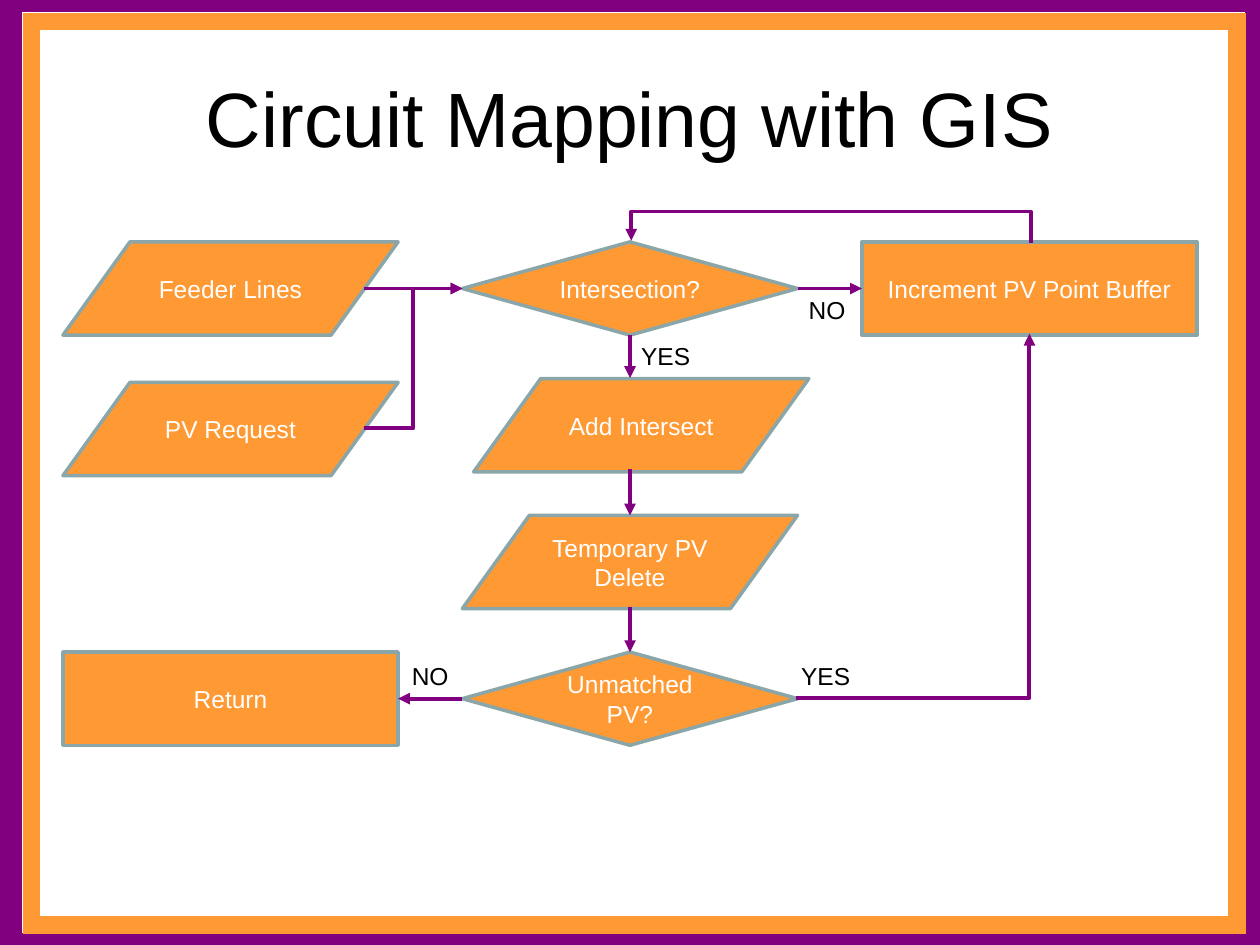
from lxml.etree import SubElement
from pptx import Presentation
from pptx.dml.color import RGBColor
from pptx.enum.shapes import MSO_CONNECTOR, MSO_SHAPE
from pptx.enum.text import MSO_ANCHOR, PP_ALIGN
from pptx.oxml.ns import qn
from pptx.util import Inches, Pt

PURPLE = RGBColor(0x80, 0x00, 0x80)
ORANGE = RGBColor(0xFF, 0x99, 0x33)
GRAY = RGBColor(0x8A, 0xA6, 0xA8)
WHITE = RGBColor(0xFF, 0xFF, 0xFF)
BLACK = RGBColor(0x00, 0x00, 0x00)

DATA = MSO_SHAPE.FLOWCHART_DATA
DECISION = MSO_SHAPE.FLOWCHART_DECISION
PROCESS = MSO_SHAPE.FLOWCHART_PROCESS
TOP, LEFT, BOTTOM, RIGHT = range(4)

STEP_W, STEP_H = 2.66, 0.74
COLUMNS = [0.5, 3.67, 6.84]
ROW_TOP, ROW_GAP = 1.92, 1.085

TITLE = "Circuit Mapping with GIS"
FRAMES = [
    ((0.08, 0, 9.9, 7.5), PURPLE, 14),
    ((0.25, 0.17, 9.57, 7.17), ORANGE, 10),
]
STEPS = [
    ("Feeder Lines", DATA, 0, 0, 0, 0),
    ("PV Request", DATA, 0, 1, 0, 0.03),
    ("Intersection?", DECISION, 1, 0, 0, 0),
    ("Return", PROCESS, 0, 3, 0, 0),
    ("Add Intersect", DATA, 1, 1, 0.09, 0),
    ("Temporary PV Delete", DATA, 1, 2, 0, 0),
    ("Unmatched PV?", DECISION, 1, 3, 0, 0),
    ("Increment PV Point Buffer", PROCESS, 2, 0, 0, 0),
]
STRAIGHT_ARROWS = [
    ((5, 2.66), (5, 3), ("Intersection?", BOTTOM), None),
    ((5, 3.72), (5, 4.09), None, None),
    ((5, 4.82), (5, 5.17), None, ("Unmatched PV?", TOP)),
    ((6.33, 2.29), (6.84, 2.29), ("Intersection?", RIGHT),
     ("Increment PV Point Buffer", LEFT)),
    ((2.89, 2.29), (3.67, 2.29), None, ("Intersection?", LEFT)),
    ((3.67, 5.54), (3.16, 5.54), ("Unmatched PV?", LEFT), ("Return", RIGHT)),
]
REQUEST_ARROW = ((2.89, 3.4), (3.67, 2.29))
RETRY_ARROW = ((6.32, 5.54), (8.17, 2.65))
LOOP_RIGHT, LOOP_LEFT, LOOP_Y = 8.18, 5.01, 1.92
LOOP_DEPTH, LOOP_RISE = 0.02, 0.25
ANSWERS = [
    ("YES", 4.99, 2.66),
    ("NO", 6.32, 2.29),
    ("NO", 3.17, 5.2),
    ("YES", 6.26, 5.2),
]


def write(frame, text, size, color, align):
    frame.word_wrap = True
    paragraph = frame.paragraphs[0]
    paragraph.text = text
    paragraph.alignment = align
    paragraph.font.name = "Arial"
    paragraph.font.size = Pt(size)
    paragraph.font.color.rgb = color


def add_label(slide, text, box, size, align, anchor):
    frame = slide.shapes.add_textbox(*map(Inches, box)).text_frame
    frame.vertical_anchor = anchor
    write(frame, text, size, BLACK, align)


def add_frame(slide, box, color, width):
    border = slide.shapes.add_shape(MSO_SHAPE.RECTANGLE, *map(Inches, box))
    border.shadow.inherit = False
    border.fill.background()
    border.line.color.rgb = color
    border.line.width = Pt(width)
    SubElement(border.line._get_or_add_ln(), qn("a:miter"), lim="800000")


def add_step(slide, text, kind, column, row, dx, dy):
    left = COLUMNS[column] + dx
    top = ROW_TOP + row * ROW_GAP + dy
    step = slide.shapes.add_shape(
        kind, *map(Inches, (left, top, STEP_W, STEP_H)))
    step.shadow.inherit = False
    step.fill.solid()
    step.fill.fore_color.rgb = ORANGE
    step.line.color.rgb = GRAY
    step.line.width = Pt(2)
    step.text_frame.vertical_anchor = MSO_ANCHOR.MIDDLE
    write(step.text_frame, text, 14, WHITE, PP_ALIGN.CENTER)
    return step


def add_arrow(slide, kind, start, end):
    arrow = slide.shapes.add_connector(kind, *map(Inches, (*start, *end)))
    arrow.line.color.rgb = PURPLE
    arrow.line.width = Pt(2.25)
    SubElement(arrow.line._get_or_add_ln(), qn("a:tailEnd"), type="triangle")
    SubElement(arrow._element.spPr, qn("a:effectLst"))
    return arrow


def add_loop(slide):
    span = LOOP_RIGHT - LOOP_LEFT
    left = (LOOP_RIGHT + LOOP_LEFT - LOOP_DEPTH) / 2
    top = LOOP_Y - span / 2
    loop = add_arrow(slide, MSO_CONNECTOR.ELBOW,
                     (left, top + span), (left + LOOP_DEPTH, top))
    properties = loop._element.spPr
    properties.find(qn("a:xfrm")).set("rot", str(270 * 60000))
    geometry = properties.find(qn("a:prstGeom"))
    guides = geometry.find(qn("a:avLst"))
    if guides is None:
        guides = SubElement(geometry, qn("a:avLst"))
    bend = round(LOOP_RISE / LOOP_DEPTH * 100000)
    SubElement(guides, qn("a:gd"), name="adj1", fmla=f"val {bend}")


def main():
    deck = Presentation()
    deck.slide_width, deck.slide_height = Inches(10), Inches(7.5)
    slide = deck.slides.add_slide(deck.slide_layouts[6])

    for frame in FRAMES:
        add_frame(slide, *frame)
    add_label(slide, TITLE, (0.5, 0.3, 9, 1.25), 44,
              PP_ALIGN.CENTER, MSO_ANCHOR.MIDDLE)
    steps = {step[0]: add_step(slide, *step) for step in STEPS}

    for start, end, source, target in STRAIGHT_ARROWS:
        arrow = add_arrow(slide, MSO_CONNECTOR.STRAIGHT, start, end)
        if source:
            arrow.begin_connect(steps[source[0]], source[1])
        if target:
            arrow.end_connect(steps[target[0]], target[1])

    add_arrow(slide, MSO_CONNECTOR.ELBOW, *REQUEST_ARROW)
    retry = add_arrow(slide, MSO_CONNECTOR.ELBOW, *RETRY_ARROW)
    retry._element.spPr.find(qn("a:prstGeom")).set("prst", "bentConnector2")
    add_loop(slide)

    for text, left, top in ANSWERS:
        add_label(slide, text, (left, top, 0.66, 0.34), 14,
                  PP_ALIGN.LEFT, MSO_ANCHOR.TOP)

    deck.save("out.pptx")


if __name__ == "__main__":
    main()
